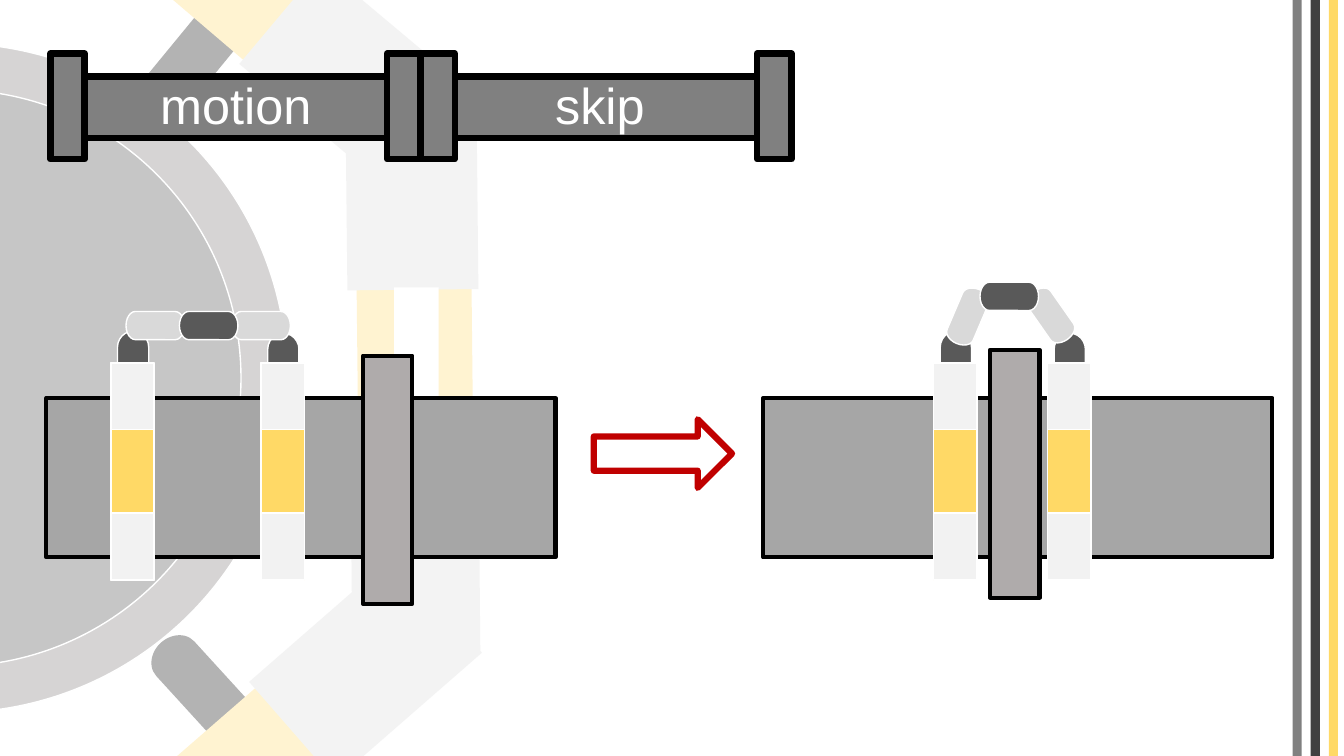
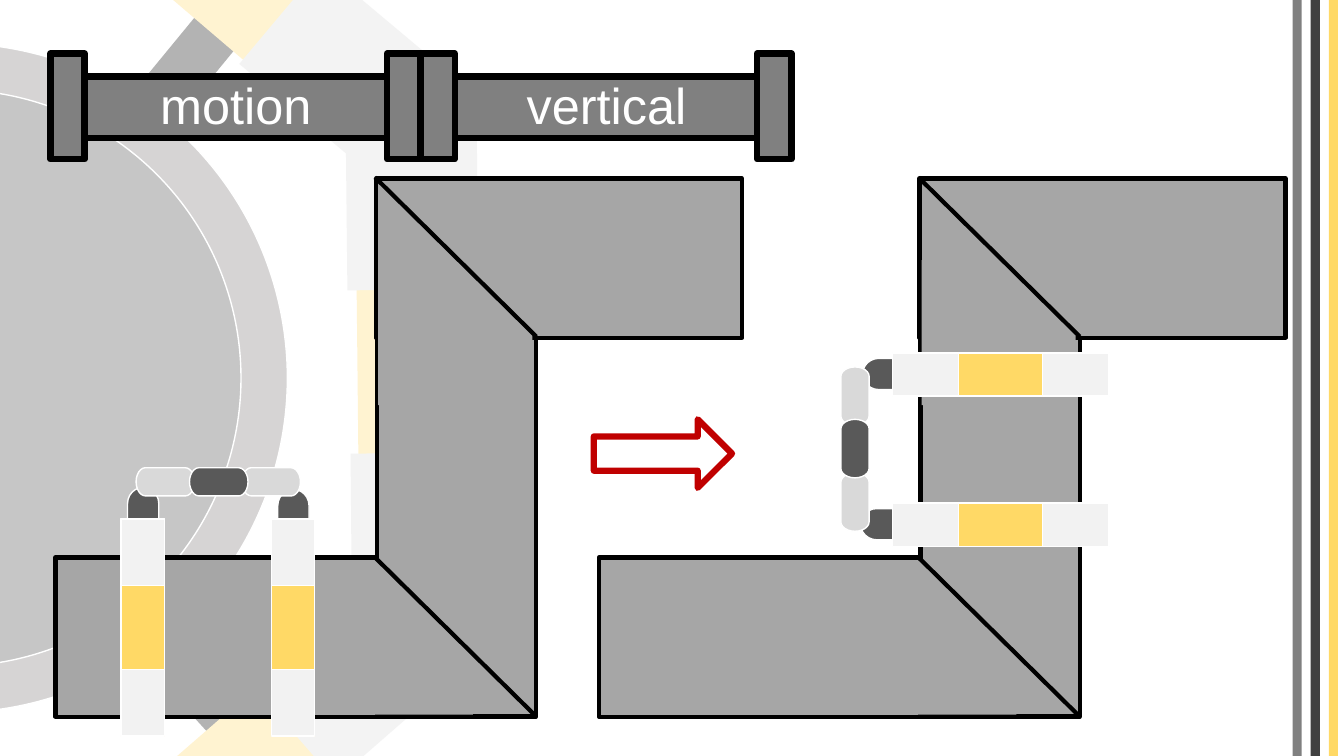
"""Builds two slides that show how a pipe-climbing robot skips a flange and moves to a vertical pipe."""
from lxml import etree
from pptx import Presentation
from pptx.dml.color import RGBColor
from pptx.enum.shapes import MSO_CONNECTOR, MSO_SHAPE
from pptx.enum.text import MSO_AUTO_SIZE, PP_ALIGN
from pptx.oxml.ns import qn
from pptx.util import Pt

PX = 9144
WIDTH, HEIGHT = 1333, 750
RECT, OVAL, ARROW = MSO_SHAPE.RECTANGLE, MSO_SHAPE.OVAL, MSO_SHAPE.RIGHT_ARROW
CAPSULE, KNUCKLE = MSO_SHAPE.FLOWCHART_TERMINATOR, MSO_SHAPE.FLOWCHART_DELAY
STRAIGHT, CENTER = MSO_CONNECTOR.STRAIGHT, PP_ALIGN.CENTER
GROW = MSO_AUTO_SIZE.SHAPE_TO_FIT_TEXT
FONT = "Arial"
COLORS = {
    "white": "FFFFFF", "black": "000000", "yellow": "FFD966", "red": "C00000",
    "wheel": "767171", "charcoal": "404040", "limb": "D9D9D9", "title": "808080",
    "pipe": "A6A6A6", "flange": "AFABAB", "joint": "595959", "clamp": "F2F2F2",
}

BACKDROP = [
    (CAPSULE, (127, 32, 132, 51), "black", None, 309.4),
    (RECT, (136, -80, 193, 114), "yellow", None, 40.5),
    (CAPSULE, (138, 661, 132, 51), "black", None, 47.6),
    (RECT, (181, 680, 193, 114), "yellow", None, 139),
    (OVAL, (-379, 43, 664, 664), "wheel", "white", 0),
    (OVAL, (-333, 89, 572, 572), "charcoal", "white", 0),
    (RECT, (315, 306, 193, 114), "yellow", None, 89.4),
    (RECT, (255, 15, 198, 127), "limb", None, 40),
    (RECT, (312, 126, 193, 130), "limb", None, 89.4),
    (RECT, (313, 485, 198, 127), "limb", None, 89.5),
    (RECT, (266, 597, 193, 130), "limb", None, 138.9),
]
CLAW_GAP = (RECT, (391, 285, 44, 165), "white", None, 0)
STRIPES = [(1282, "title"), (1300, "charcoal"), (1318, "yellow")]
TITLE_PIPES = [55, 422]
STRAIGHT_ARM = [(15, -51, 0, "limb"), (120, -51, 0, "limb"), (68, -51, 0, "joint")]
BENT_ARM = [(5, -60, 113, "limb"), (87, -61, 55, "limb"), (46, -80, 0, "joint")]


def add_part(slide, kind, box, fill, line=None, rotation=0, weight=1):
    """Draws one preset shape from a px box and colour names."""
    part = slide.shapes.add_shape(kind, *[int(value * PX) for value in box])
    part.shadow.inherit = False
    part.rotation = rotation
    if fill:
        part.fill.solid()
        part.fill.fore_color.rgb = RGBColor.from_string(COLORS[fill])
    else:
        part.fill.background()
    if line:
        part.line.color.rgb = RGBColor.from_string(COLORS[line])
        part.line.width = Pt(weight)
    else:
        part.line.fill.background()
    return part


def add_robot(slide, left, top, reach, arm, upright=False):
    """Draws a robot from the corner of its first clamp, turned left if upright."""
    parts = [(KNUCKLE, (6, -31, 32, 31), "joint", 270),
             (KNUCKLE, (reach + 6, -29, 32, 31), "joint", 270)]
    parts += [(CAPSULE, (x, y, 58, 28), color, angle) for x, y, angle, color in arm]
    for x in (0, reach):
        parts += [(RECT, (x, 0, 43, 216), "yellow", 0),
                  (RECT, (x, 0, 43, 66), "clamp", 0),
                  (RECT, (x, 149, 43, 66), "clamp", 0)]
    for kind, (x, y, width, height), color, angle in parts:
        center_x, center_y = x + width / 2, y + height / 2
        if upright:
            center_x, center_y, angle = center_y, -center_x, (angle + 270) % 360
        box = (left + center_x - width / 2, top + center_y - height / 2, width, height)
        add_part(slide, kind, box, color, "white", angle)


prs = Presentation()
prs.slide_width, prs.slide_height = WIDTH * PX, HEIGHT * PX

for topic, topic_left, topic_width, extras in [
    ("skip", 477, 236, [CLAW_GAP]),
    ("vertical", 474, 255, []),
]:
    slide = prs.slides.add_slide(prs.slide_layouts[6])
    for backdrop_part in BACKDROP + extras:
        add_part(slide, *backdrop_part)
    veil = add_part(slide, RECT, (0, 0, WIDTH, HEIGHT), "white")
    veil_color = veil.fill._xPr.find(qn("a:solidFill"))[0]
    etree.SubElement(veil_color, qn("a:alpha")).set("val", "70000")

    for left, color in STRIPES:
        add_part(slide, RECT, (left, 0, 9, HEIGHT), color)

    for left in TITLE_PIPES:
        for box in [(left, 76, 344, 61), (left + 329, 53, 34, 105), (left - 5, 53, 34, 105)]:
            add_part(slide, RECT, box, "title", "black", weight=4.5)
    for words, left, width in [("motion", 116, 236), (topic, topic_left, topic_width)]:
        title = slide.shapes.add_textbox(left * PX, 69 * PX, width * PX, 71 * PX)
        title.text_frame.word_wrap = True
        title.text_frame.auto_size = GROW
        paragraph = title.text_frame.paragraphs[0]
        paragraph.alignment = CENTER
        run = paragraph.add_run()
        run.text = words
        run.font.name = FONT
        run.font.size = Pt(36)
        run.font.color.rgb = RGBColor.from_string(COLORS["white"])

    add_part(slide, ARROW, (589, 416, 137, 68), None, "red", weight=4.5)

skip_slide, vertical_slide = prs.slides

for pipe_left, flange_left, flange_top, robot_left, reach, arm in [
    (46, 360, 353, 110, 149, STRAIGHT_ARM),
    (757, 982, 347, 926, 113, BENT_ARM),
]:
    add_part(skip_slide, RECT, (pipe_left, 395, 505, 158), "pipe", "black", weight=3)
    add_robot(skip_slide, robot_left, 360, reach, arm)
    add_part(skip_slide, RECT, (flange_left, flange_top, 49, 246), "flange", "black", weight=3)

for left in (55, 594):
    for box in [(left, 553, 476, 158), (left + 319, 178, 158, 533), (left + 318, 177, 363, 158)]:
        add_part(vertical_slide, RECT, box, "pipe", "black", weight=3)
    for box in [(left + 320, 258, 153, 144), (left + 270, 556, 144, 153)]:
        add_part(vertical_slide, RECT, box, "pipe")
    for seam_top in (176, 553):
        seam = vertical_slide.shapes.add_connector(
            STRAIGHT, (left + 477) * PX, (seam_top + 158) * PX, (left + 317) * PX, seam_top * PX)
        seam.line.color.rgb = RGBColor.from_string(COLORS["black"])
        seam.line.width = Pt(3)
        etree.SubElement(seam._element.spPr, qn("a:effectLst"))

add_robot(vertical_slide, 885, 542, 149, STRAIGHT_ARM, upright=True)
add_robot(vertical_slide, 120, 515, 149, STRAIGHT_ARM)

prs.save("out.pptx")
